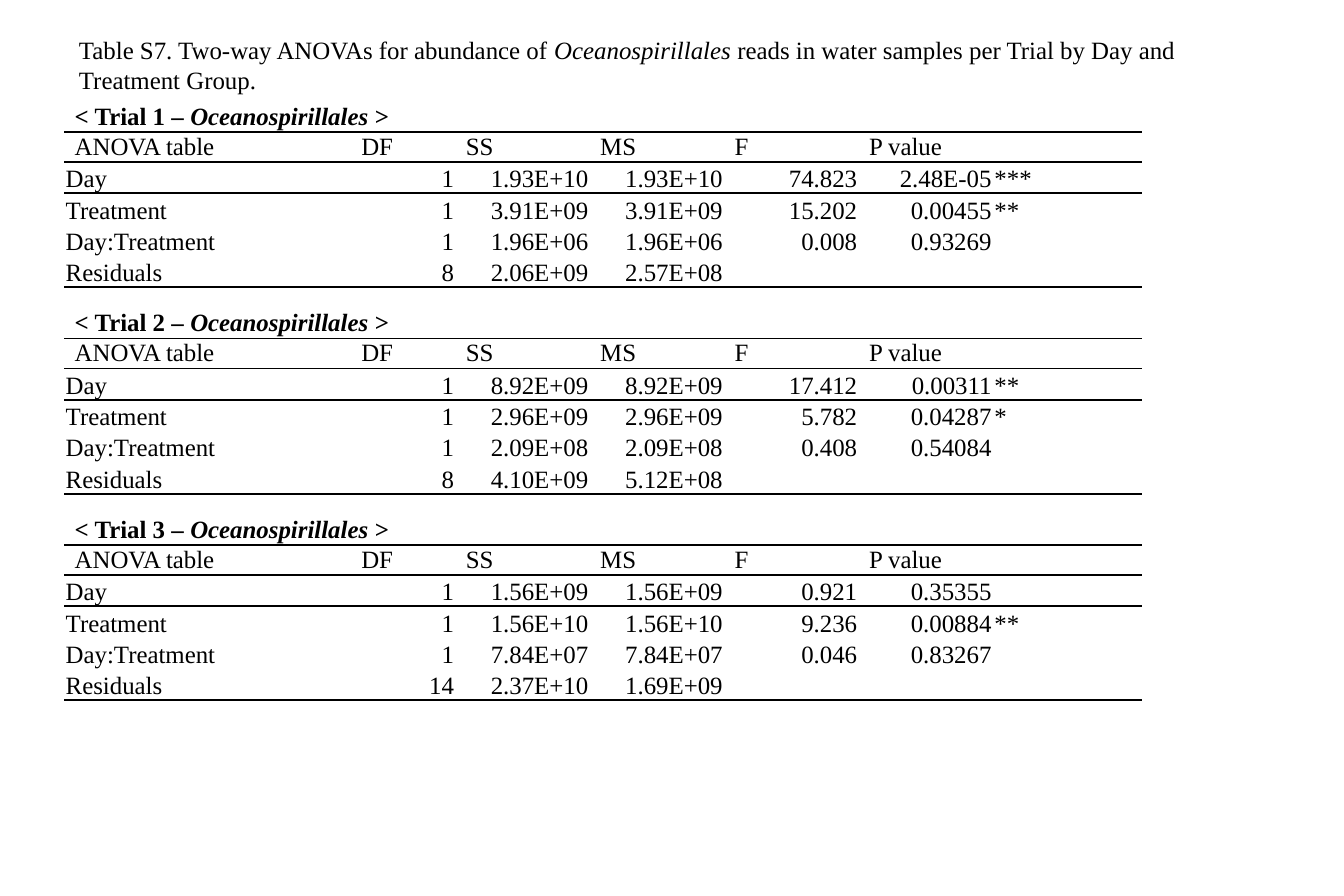
import lxml.etree
import pptx
import pptx.dml.color
import pptx.enum.text
import pptx.oxml.ns
import pptx.util

Pt = pptx.util.Pt
Align = pptx.enum.text.PP_ALIGN
Anchor = pptx.enum.text.MSO_ANCHOR
BLACK = pptx.dml.color.RGBColor(0, 0, 0)
FONT = "Times New Roman"
TEXT_SIZE = Pt(12)
PLAIN_STYLE = "{2D5ABB26-0587-4C30-8999-92F81FD0307C}"

LEFT = 31
COLUMN_WIDTHS = [138.2, 50.4, 64.8, 64.8, 64.8, 64.8, 72]
ROW_HEIGHTS = [14.6, 14.4, 15.1, 15.1, 15.1, 15.1]
RULED_ROWS = (0, 1, len(ROW_HEIGHTS) - 1)
FIRST_TABLE_TOP = 49
TABLE_PITCH = 99.6

ORDER_NAME = "Oceanospirillales"
HEADINGS = ["ANOVA table", "DF", "SS", "MS", "F", "P value", ""]
TRIALS = [
    [
        ["Day", "1", "1.93E+10", "1.93E+10", "74.823", "2.48E-05", "***"],
        ["Treatment", "1", "3.91E+09", "3.91E+09", "15.202", "0.00455", "**"],
        ["Day:Treatment", "1", "1.96E+06", "1.96E+06", "0.008", "0.93269", ""],
        ["Residuals", "8", "2.06E+09", "2.57E+08", "", "", ""],
    ],
    [
        ["Day", "1", "8.92E+09", "8.92E+09", "17.412", "0.00311", "**"],
        ["Treatment", "1", "2.96E+09", "2.96E+09", "5.782", "0.04287", "*"],
        ["Day:Treatment", "1", "2.09E+08", "2.09E+08", "0.408", "0.54084", ""],
        ["Residuals", "8", "4.10E+09", "5.12E+08", "", "", ""],
    ],
    [
        ["Day", "1", "1.56E+09", "1.56E+09", "0.921", "0.35355", ""],
        ["Treatment", "1", "1.56E+10", "1.56E+10", "9.236", "0.00884", "**"],
        ["Day:Treatment", "1", "7.84E+07", "7.84E+07", "0.046", "0.83267", ""],
        ["Residuals", "14", "2.37E+10", "1.69E+09", "", "", ""],
    ],
]


def add_span(para, text, bold=False, italic=False):
    span = para.add_run()
    span.text = text
    span.font.name = FONT
    span.font.size = TEXT_SIZE
    span.font.color.rgb = BLACK
    span.font.bold = bold
    span.font.italic = italic


def add_phrase(para, before, after, bold=False):
    """Write the order's name in italics between two upright pieces."""
    add_span(para, before, bold)
    add_span(para, ORDER_NAME, bold, italic=True)
    add_span(para, after, bold)


def add_rule(cell, side):
    """Draw a black 1 pt border; side is 'lnT' or 'lnB'."""
    qn = pptx.oxml.ns.qn
    properties = cell._tc.get_or_add_tcPr()
    line = lxml.etree.SubElement(properties, qn("a:" + side), w=str(Pt(1)))
    fill = lxml.etree.SubElement(line, qn("a:solidFill"))
    lxml.etree.SubElement(fill, qn("a:srgbClr"), val=str(BLACK))


def format_cell(cell, row, column):
    is_data = row > 1
    cell.margin_left = cell.margin_right = Pt(0.7 if is_data else 5)
    cell.margin_top = Pt(0.7 if is_data else 0)
    cell.margin_bottom = Pt(0)
    cell.vertical_anchor = Anchor.BOTTOM if is_data else Anchor.MIDDLE
    if row - 1 in RULED_ROWS:
        add_rule(cell, "lnT")
    if row in RULED_ROWS:
        add_rule(cell, "lnB")
    cell.fill.background()
    para = cell.text_frame.paragraphs[0]
    if is_data and 0 < column < len(HEADINGS) - 1:
        para.alignment = Align.RIGHT
    # An empty cell at the default 18 pt would stretch its row.
    lxml.etree.SubElement(
        para._p, pptx.oxml.ns.qn("a:endParaRPr"), sz=str(int(TEXT_SIZE.pt * 100))
    )


def add_caption(page, left, top, width, height):
    box = page.shapes.add_textbox(Pt(left), Pt(top), Pt(width), Pt(height))
    frame = box.text_frame
    frame.word_wrap = True
    frame.auto_size = pptx.enum.text.MSO_AUTO_SIZE.SHAPE_TO_FIT_TEXT
    add_phrase(
        frame.paragraphs[0],
        "Table S7. Two-way ANOVAs for abundance of ",
        " reads in water samples per Trial by Day and Treatment Group.",
    )


def add_trial_table(page, left, top, number, results):
    frame = page.shapes.add_table(
        len(ROW_HEIGHTS), len(COLUMN_WIDTHS), Pt(left), Pt(top),
        Pt(sum(COLUMN_WIDTHS)), Pt(sum(ROW_HEIGHTS)),
    )
    table = frame.table
    table.first_row = table.horz_banding = False
    table._tbl.tblPr.find(pptx.oxml.ns.qn("a:tableStyleId")).text = PLAIN_STYLE
    for column, width in zip(table.columns, COLUMN_WIDTHS):
        column.width = Pt(width)
    for row, height in zip(table.rows, ROW_HEIGHTS):
        row.height = Pt(height)

    title = table.cell(0, 0)
    title.merge(table.cell(0, len(HEADINGS) - 2))
    add_phrase(title.text_frame.paragraphs[0], f"< Trial {number} – ", " >", bold=True)
    for row, texts in enumerate([HEADINGS] + results, start=1):
        for column, text in enumerate(texts):
            if text:
                add_span(table.cell(row, column).text_frame.paragraphs[0], text)
    for row in range(len(ROW_HEIGHTS)):
        for column in range(len(COLUMN_WIDTHS)):
            format_cell(table.cell(row, column), row, column)


def main():
    deck = pptx.Presentation()
    deck.slide_width = Pt(648)
    deck.slide_height = Pt(432)
    page = deck.slides.add_slide(deck.slide_layouts[6])
    add_caption(page, LEFT, 13, 584, 36)
    for index, results in enumerate(TRIALS):
        top = FIRST_TABLE_TOP + index * TABLE_PITCH
        add_trial_table(page, LEFT, top, index + 1, results)
    deck.save("out.pptx")


if __name__ == "__main__":
    main()
